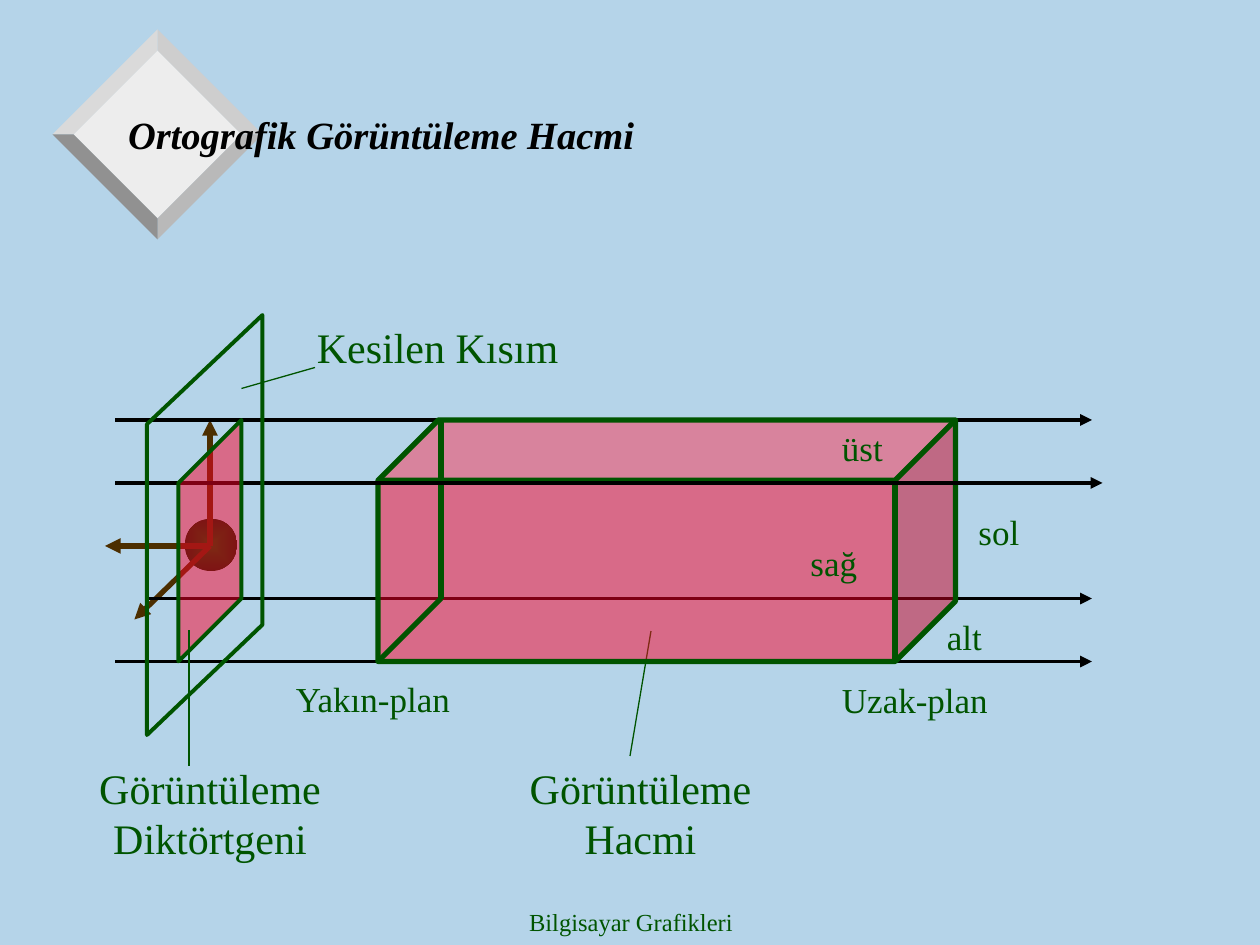
from lxml.etree import SubElement
from pptx import Presentation
from pptx.dml.color import RGBColor
from pptx.enum.shapes import MSO_CONNECTOR, MSO_SHAPE
from pptx.enum.text import MSO_ANCHOR, MSO_AUTO_SIZE, PP_ALIGN
from pptx.oxml.ns import qn
from pptx.util import Pt

PX = 7620
FONT = "Times New Roman"
C = {
    "bg": "B5D4E9", "green": "005400", "dark_green": "002600", "black": "000000",
    "brown": "4C2E00", "pink": "FC0128", "face": "EDEDED", "top_right": "CECECE",
    "top_left": "DADADA", "bottom_right": "B9B9B9", "bottom_left": "919191",
}


def rgb(name):
    """Return the named colour."""
    return RGBColor.from_string(C[name])


def style(sp, fill=None, line=None, width=0, alpha=None):
    """Set the fill, outline and fill opacity of a shape."""
    sp.shadow.inherit = False
    if fill:
        sp.fill.solid()
        sp.fill.fore_color.rgb = rgb(fill)
        if alpha:
            clr = sp.fill._xPr.find(qn("a:solidFill"))[0]
            SubElement(clr, qn("a:alpha"), val=str(alpha * 1000))
    else:
        sp.fill.background()
    if line:
        sp.line.color.rgb = rgb(line)
        sp.line.width = Pt(width)
    else:
        sp.line.fill.background()


def add_polygon(s, points, **look):
    """Draw a closed polygon through the points."""
    builder = s.shapes.build_freeform(*points[0], scale=PX)
    builder.add_line_segments(points[1:], close=True)
    style(builder.convert_to_shape(), **look)


def add_line(s, x1, y1, x2, y2, color="green", width=0.75, arrow=False):
    """Draw a straight line, with an arrowhead at its end if asked."""
    cn = s.shapes.add_connector(
        MSO_CONNECTOR.STRAIGHT, *(v * PX for v in (x1, y1, x2, y2)))
    cn.line.color.rgb = rgb(color)
    cn.line.width = Pt(width)
    if arrow:
        SubElement(cn.line._get_or_add_ln(), qn("a:tailEnd"), type="triangle")
    SubElement(cn._element.spPr, qn("a:effectLst"))


def add_label(s, text, x, y, w, h, size=20, align=PP_ALIGN.LEFT):
    """Add a green text label."""
    tf = s.shapes.add_textbox(*(v * PX for v in (x, y, w, h))).text_frame
    tf.word_wrap = True
    p = tf.paragraphs[0]
    p.text = text
    p.alignment = align
    p.font.name = FONT
    p.font.size = Pt(size)
    p.font.color.rgb = rgb("green")


def add_diamond(s, cx, cy, inner, outer):
    """Draw the bevelled diamond from its face and four edges."""
    def corner(dx, dy, r):
        return cx + dx * r, cy + dy * r

    up, right, down, left = (0, -1), (1, 0), (0, 1), (-1, 0)
    add_polygon(s, [corner(*d, inner) for d in (up, right, down, left)], fill="face")
    for a, b, fill in ((up, right, "top_right"), (left, up, "top_left"),
                       (right, down, "bottom_right"), (down, left, "bottom_left")):
        add_polygon(s, [corner(*a, inner), corner(*a, outer),
                        corner(*b, outer), corner(*b, inner)], fill=fill)


def add_title(s, text):
    """Place and format the title above the diamond."""
    sp = s.shapes.title
    sp._element.getparent().append(sp._element)
    sp.left, sp.top, sp.width, sp.height = (v * PX for v in (110, 55, 1020, 145))
    tf = sp.text_frame
    tf.auto_size = MSO_AUTO_SIZE.NONE
    tf.vertical_anchor = MSO_ANCHOR.MIDDLE
    p = tf.paragraphs[0]
    p.text = text
    p.alignment = PP_ALIGN.LEFT
    p.font.name = FONT
    p.font.size = Pt(22)
    p.font.bold = p.font.italic = True
    p.font.color.rgb = rgb("black")


def add_viewer(s):
    """Draw the shaded ball and its three axes."""
    sp = s.shapes.add_shape(MSO_SHAPE.OVAL, *(v * PX for v in (176, 494, 50, 50)))
    style(sp)
    sp.fill.gradient()
    for stop, pos, color in zip(sp.fill.gradient_stops, (0, 1), ("green", "dark_green")):
        stop.position = pos
        stop.color.rgb = rgb(color)
    grad = sp._element.spPr.find(qn("a:gradFill"))
    grad.remove(grad.find(qn("a:lin")))
    shade = SubElement(grad, qn("a:path"), {"path": "rect"})
    SubElement(shade, qn("a:fillToRect"), {side: "50000" for side in "ltrb"})
    for x, y in ((200, 400), (128, 590), (100, 520)):
        add_line(s, 200, 520, x, y, "brown", 3, True)


def add_ray(s, x1, x2, y):
    """Draw one horizontal projection ray."""
    add_line(s, x1, y, x2, y, "black", 2.25, True)


def add_volume(s):
    """Draw the translucent view volume with its hidden edges."""
    sp = s.shapes.add_shape(MSO_SHAPE.CUBE, *(v * PX for v in (360, 400, 550, 230)))
    sp.adjustments[0] = 0.25
    style(sp, fill="pink", line="green", width=3, alpha=50)
    add_line(s, 420, 400, 420, 570, width=3)
    add_line(s, 420, 570, 360, 630, width=3)


def main():
    """Build the slide and save it."""
    prs = Presentation()
    prs.slide_width, prs.slide_height = 1200 * PX, 900 * PX
    s = prs.slides.add_slide(prs.slide_layouts[5])
    s.background.fill.solid()
    s.background.fill.fore_color.rgb = rgb("bg")

    add_diamond(s, 150, 128, 80, 100)
    add_label(s, "Bilgisayar Grafikleri", 411, 858, 380, 42, 14, PP_ALIGN.CENTER)
    add_title(s, "Ortografik Görüntüleme Hacmi")

    add_viewer(s)
    for x, y in ((110, 400), (140, 570), (110, 630)):
        add_ray(s, x, 1040, y)
    add_line(s, 620, 601, 600, 720)
    add_volume(s)
    add_ray(s, 110, 1050, 460)
    add_polygon(s, [(230, 400), (170, 460), (170, 630), (230, 570)],
                fill="pink", line="green", width=2.25, alpha=50)
    add_polygon(s, [(250, 300), (140, 404), (140, 700), (250, 595)],
                line="green", width=2.25)
    add_line(s, 230, 370, 300, 350)
    add_line(s, 180, 600, 180, 730)

    for text, x, y, w in (("Yakın-plan", 270, 639, 190), ("Uzak-plan", 790, 640, 200),
                          ("sol", 920, 480, 80), ("sağ", 760, 510, 90),
                          ("üst", 790, 400, 80), ("alt", 890, 580, 140)):
        add_label(s, text, x, y, w, 53)
    add_label(s, "Kesilen Kısım", 290, 300, 272, 60, 24)
    for text, x, w in (("Görüntüleme Hacmi", 460, 300),
                       ("Görüntüleme Diktörtgeni", 40, 320)):
        add_label(s, text, x, 720, w, 108, 24, PP_ALIGN.CENTER)
    prs.save("out.pptx")


if __name__ == "__main__":
    main()
